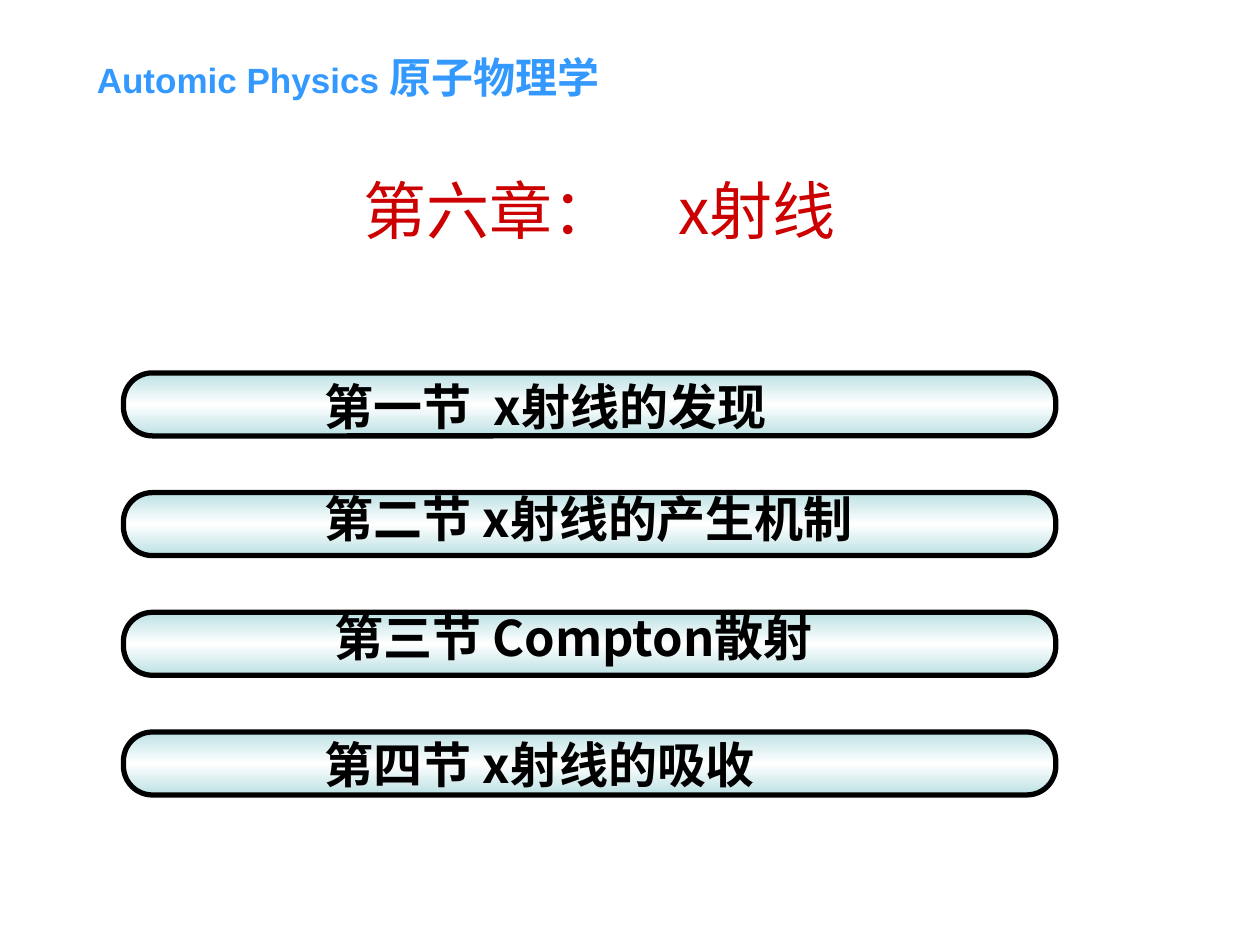
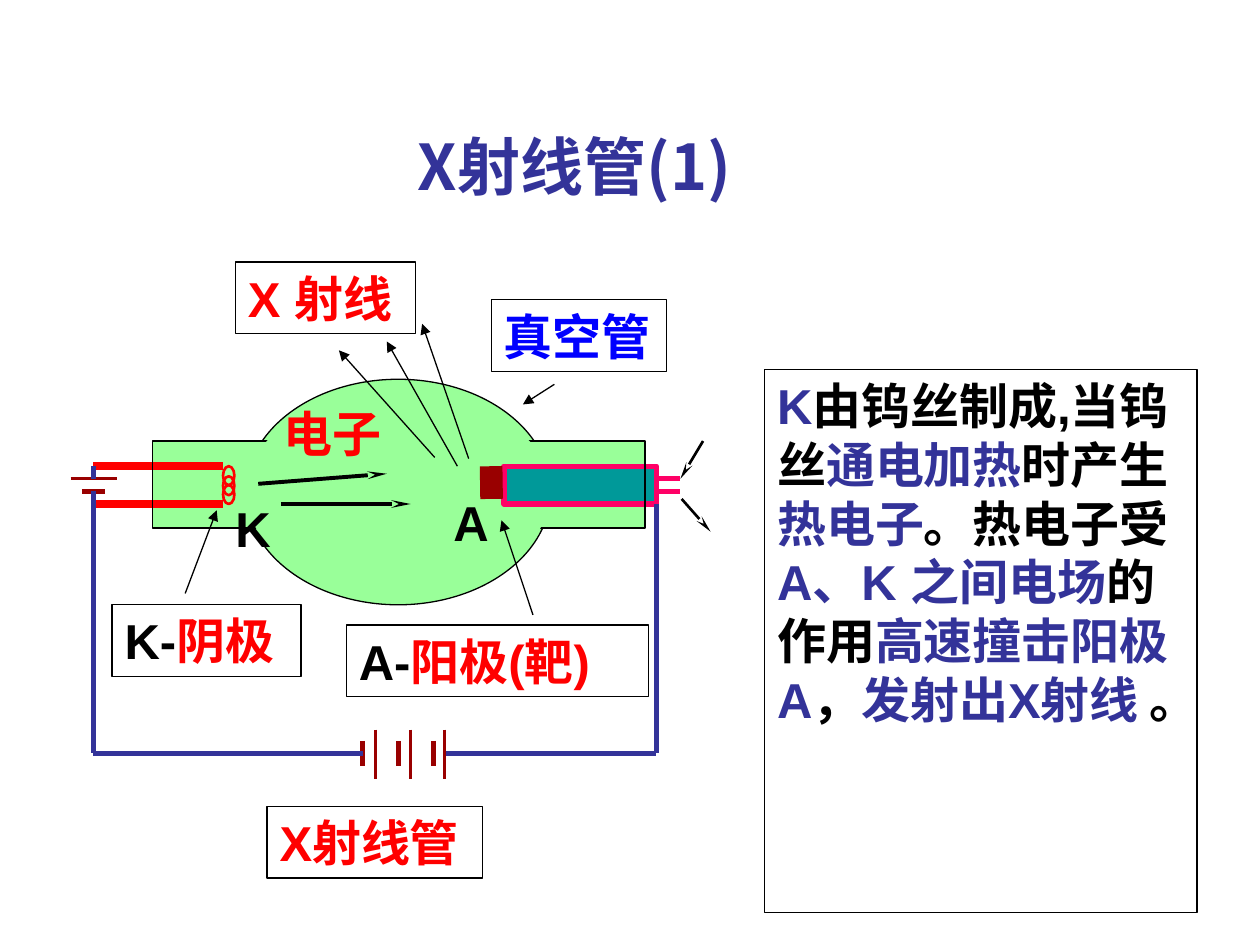
from copy import deepcopy
from dataclasses import dataclass

from lxml import etree
from pptx import Presentation
from pptx.dml.color import RGBColor
from pptx.enum import shapes, text
from pptx.oxml import ns
from pptx.util import Inches, Pt


@dataclass(frozen=True)
class Theme:
    latin: str = "Arial"
    cjk: str = "Noto Sans CJK SC"
    black: str = "000000"
    white: str = "FFFFFF"
    sky: str = "3399FF"
    crimson: str = "CC0000"
    red: str = "FF0000"
    blue: str = "0000FF"
    indigo: str = "333399"
    band: str = "BBE0E3"
    glass: str = "99FF99"
    pink: str = "FF0066"
    teal: str = "009999"
    maroon: str = "990000"
    title: int = 36
    body: int = 28
    course: int = 24
    course_latin: int = 20
    thin: float = 0.75


theme = Theme()


def write(slide, box, paragraphs, size=theme.body, font=theme.latin, bold=True,
          snug=True, border=False, title=False):
    holder = slide.shapes.add_textbox(*map(Inches, box))
    frame = holder.text_frame
    frame.word_wrap = True
    frame.auto_size = text.MSO_AUTO_SIZE.NONE
    if title:
        frame.vertical_anchor = text.MSO_ANCHOR.MIDDLE
    elif snug:
        frame.margin_right = 0
    if border:
        holder.line.color.rgb = RGBColor.from_string(theme.black)
        holder.line.width = Pt(theme.thin)
    for index, pieces in enumerate(paragraphs):
        paragraph = frame.add_paragraph() if index else frame.paragraphs[0]
        paragraph.alignment = text.PP_ALIGN.CENTER if title else text.PP_ALIGN.LEFT
        for words, color in pieces:
            run = paragraph.add_run()
            run.text = words
            run.font.size = Pt(size)
            run.font.bold = bold
            run.font.color.rgb = RGBColor.from_string(color)
            run.font.name = font
            east_asian = etree.SubElement(run.font._element, ns.qn("a:ea"))
            east_asian.set("typeface", theme.cjk)
    return frame


def draw_lines(slide, color, width, ends, arrow=None):
    for points in ends:
        line = slide.shapes.add_connector(shapes.MSO_CONNECTOR.STRAIGHT, *map(Inches, points))
        line.line.color.rgb = RGBColor.from_string(color)
        line.line.width = Pt(width)
        if arrow:
            head = etree.SubElement(line.line._get_or_add_ln(), ns.qn("a:tailEnd"))
            head.set("type", arrow)
            if arrow == "stealth":
                head.set("w", "sm")
                head.set("len", "lg")
        etree.SubElement(line._element.spPr, ns.qn("a:effectLst"))


prs = Presentation()
prs.slide_width = Inches(10)
prs.slide_height = Inches(7.5)
blank = prs.slide_layouts[6]

chapter = prs.slides.add_slide(blank)
for row in range(4):
    band = chapter.shapes.add_shape(
        shapes.MSO_SHAPE.ROUNDED_RECTANGLE,
        Inches(0.98), Inches(2.96 + 0.95 * row), Inches(7.4), Inches(0.5))
    band.adjustments[0] = 0.46
    band.shadow.inherit = False
    band.line.color.rgb = RGBColor.from_string(theme.black)
    band.line.width = Pt(3)
    band.fill.gradient()
    band.fill.gradient_angle = 90
    stops = band._element.spPr.find(".//" + ns.qn("a:gsLst"))
    stops.insert(1, deepcopy(stops[0]))
    for stop, position, color in zip(band.fill.gradient_stops, (0, 0.5, 1),
                                     (theme.band, theme.white, theme.band)):
        stop.position = position
        stop.color.rgb = RGBColor.from_string(color)

course = write(chapter, (0.67, 0.36, 5.43, 0.5),
               [[("Automic Physics ", theme.sky), ("原子物理学", theme.sky)]],
               size=theme.course)
course.paragraphs[0].runs[0].font.size = Pt(theme.course_latin)
write(chapter, (0.43, 1.15, 8.66, 1.02), [[("第六章：　x射线", theme.crimson)]],
      size=theme.title, font=theme.cjk, bold=False, title=True)

sections = [
    ((2.48, 2.94, 4.07, 0.57), "第一节  x射线的发现"),
    ((2.48, 3.83, 4.66, 0.57), "第二节 x射线的产生机制"),
    ((2.56, 4.77, 4.35, 0.57), "第三节 Compton散射"),
    ((2.48, 5.78, 3.88, 0.57), "第四节 x射线的吸收"),
]
for box, name in sections:
    write(chapter, box, [[(name, theme.black)]], font=theme.cjk)

tube = prs.slides.add_slide(blank)
write(tube, (2.79, 0.92, 3.54, 0.79), [[("X射线管(1)", theme.indigo)]],
      size=theme.title, font=theme.cjk, title=True)
draw_lines(tube, theme.pink, 3, [(5.02, y, 5.4, y) for y in (3.8, 3.9)])

oval, rect = shapes.MSO_SHAPE.OVAL, shapes.MSO_SHAPE.RECTANGLE
glass_parts = [
    (oval, (1.95, 3.01, 2.42, 1.79), theme.glass, theme.black, theme.thin),
    (rect, (1.21, 3.5, 0.93, 0.69), theme.glass, theme.black, theme.thin),
    (rect, (4.19, 3.5, 0.93, 0.69), theme.glass, theme.black, theme.thin),
    (oval, (1.95, 3.11, 2.42, 1.59), theme.glass, None, 0),
]
anode = [(rect, (4, 3.7, 1.21, 0.3), theme.teal, theme.pink, 3)]
filament = [(oval, (1.77, y, 0.09, 0.15), None, theme.red, 1.5) for y in (3.7, 3.78, 3.85)]
target = [(rect, (3.81, 3.7, 0.18, 0.26), theme.maroon, None, 0)]
for kind, box, fill, outline, width in glass_parts + anode + filament + target:
    part = tube.shapes.add_shape(kind, *map(Inches, box))
    part.shadow.inherit = False
    if fill:
        part.fill.solid()
        part.fill.fore_color.rgb = RGBColor.from_string(fill)
    else:
        part.fill.background()
    if outline:
        part.line.color.rgb = RGBColor.from_string(outline)
        part.line.width = Pt(width)
    else:
        part.line.fill.background()
part.rotation = 359.1

draw_lines(tube, theme.red, 4.5, [(0.74, y, 1.77, y) for y in (3.7, 4)])
draw_lines(tube, theme.maroon, 1.5,
           [(0.56, 3.8, 0.93, 3.8)] + [(x, 5.79, x, 6.18) for x in (2.98, 3.26, 3.53)])
draw_lines(tube, theme.maroon, 3,
           [(0.65, 3.9, 0.83, 3.9)] + [(x, 5.88, x, 6.08) for x in (2.88, 3.16, 3.44)])
draw_lines(tube, theme.indigo, 3, [
    (0.74, 3.7, 0.74, 3.8), (0.74, 3.9, 0.74, 5.98), (0.74, 5.98, 2.88, 5.98),
    (5.21, 4, 5.21, 5.98), (3.54, 5.98, 5.21, 5.98)])
draw_lines(tube, theme.black, theme.thin, [(x, 3.6, x, 4.1) for x in (1.21, 5.12)])
draw_lines(tube, theme.black, 2.25, [(2.05, 3.84, 3.07, 3.76), (2.23, 4, 3.26, 4)], "stealth")
draw_lines(tube, theme.black, 1.5, [(5.58, 3.5, 5.4, 3.8), (5.41, 3.96, 5.64, 4.22)], "stealth")
xrays = [(3.72, 3.64, 3.35, 2.57), (3.45, 3.63, 2.69, 2.78), (3.63, 3.7, 3.07, 2.71)]
pointers = [(4.23, 4.88, 3.98, 4.13), (1.47, 4.71, 1.72, 4.05), (4.4, 3.05, 4.15, 3.21)]
draw_lines(tube, theme.black, theme.thin, xrays + pointers, "triangle")

labels = [
    ((2.12, 6.4, 1.71, 0.57), [("X射线管", theme.red)], True),
    ((1.87, 2.08, 1.43, 0.57), [("X 射线", theme.red)], True),
    ((2.15, 3.15, 0.97, 0.57), [("电子", theme.red)], False),
    ((3.9, 2.38, 1.39, 0.57), [("真空管", theme.blue)], True),
    ((1.77, 3.91, 0.48, 0.57), [("K", theme.black)], False),
    ((3.5, 3.86, 0.48, 0.57), [("A", theme.black)], False),
    ((2.75, 4.96, 2.4, 0.57), [("A-", theme.black), ("阳极(靶)", theme.red)], True),
    ((0.89, 4.8, 1.5, 0.57), [("K-", theme.black), ("阴极", theme.red)], True),
]
for box, pieces, border in labels:
    write(tube, box, [pieces], border=border)

explanation = [
    [("K", theme.indigo), ("由钨丝制成,当钨", theme.black)],
    [("丝", theme.black), ("通电加热", theme.indigo), ("时产生", theme.black)],
    [("热电子", theme.indigo), ("。热电子受", theme.black)],
    [("A、K 之间电场", theme.indigo), ("的", theme.black)],
    [("作用", theme.black), ("高速撞击阳极", theme.indigo)],
    [("A", theme.indigo), ("，", theme.black), ("发射出X射线", theme.indigo), (" 。", theme.black)],
]
write(tube, (6.07, 2.93, 3.43, 4.31), explanation, snug=False, border=True)

prs.save("out.pptx")
